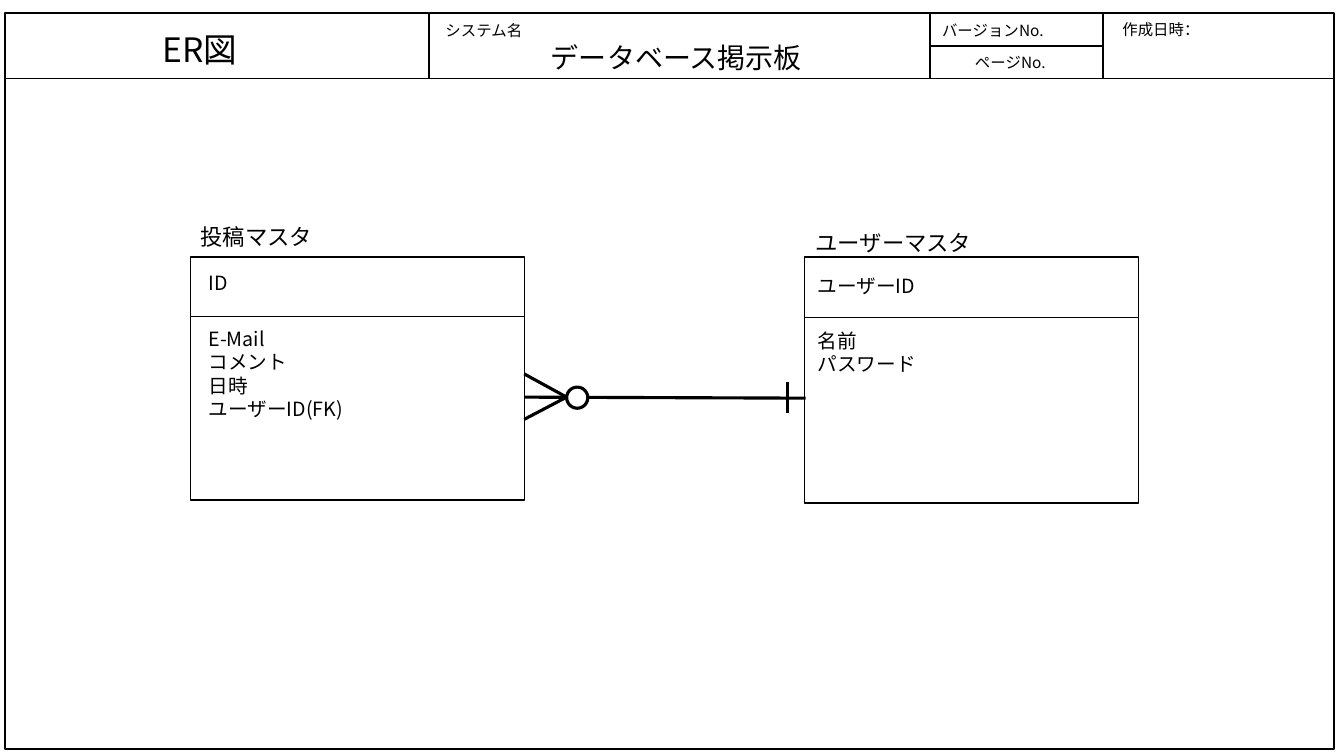
import pptx
import pptx.util
import pptx.dml.color
import pptx.enum.shapes
import pptx.enum.text
import pptx.oxml.ns
import pptx.oxml.xmlchemy
from pptx.util import Inches

FONT = "Noto Sans CJK JP"
COLORS = {"ink": "000000", "paper": "FFFFFF"}
KINDS = pptx.enum.shapes.MSO_SHAPE
ALIGN = pptx.enum.text.PP_ALIGN
ANCHOR = pptx.enum.text.MSO_ANCHOR


class Sheet:
    def __init__(self, deck):
        self.slide = deck.slides.add_slide(deck.slide_layouts[6])
        self.shapes = self.slide.shapes

    def color(self, name):
        return pptx.dml.color.RGBColor.from_string(COLORS[name])

    def stroke(self, line, width):
        line.color.rgb = self.color("ink")
        line.width = pptx.util.Pt(width)

    def shape(self, left, top, width, height, kind=KINDS.RECTANGLE, fill=None, weight=1):
        item = self.shapes.add_shape(
            kind, Inches(left), Inches(top), Inches(width), Inches(height))
        item.shadow.inherit = False
        if fill:
            item.fill.solid()
            item.fill.fore_color.rgb = self.color(fill)
        else:
            item.fill.background()
        self.stroke(item.line, weight)

    def line(self, x1, y1, x2, y2, weight=1):
        item = self.shapes.add_connector(
            pptx.enum.shapes.MSO_CONNECTOR.STRAIGHT,
            Inches(x1), Inches(y1), Inches(x2), Inches(y2))
        self.stroke(item.line, weight)
        item._element.spPr.append(pptx.oxml.xmlchemy.OxmlElement("a:effectLst"))

    def text(self, words, left, top, width, height, size, align=ALIGN.LEFT, anchor=ANCHOR.TOP):
        box = self.shapes.add_textbox(
            Inches(left), Inches(top), Inches(width), Inches(height))
        frame = box.text_frame
        frame.word_wrap = True
        frame.vertical_anchor = anchor
        frame.text = words
        for para in frame.paragraphs:
            para.alignment = align
            for run in para.runs:
                run.font.size = pptx.util.Pt(size)
                run.font.name = FONT
                run.font.color.rgb = self.color("ink")
                asian = pptx.oxml.xmlchemy.OxmlElement("a:ea")
                asian.set("typeface", FONT)
                run.font._element.find(pptx.oxml.ns.qn("a:latin")).addnext(asian)

    def entity(self, left, height, split, title, key, fields):
        top, width = 2.55, 3.31
        self.shape(left, top, width, height, fill="paper")
        self.line(left, split, left + width, split)
        for (words, x, y, size), tall in zip((title, key, fields), (0.47, 0.47, 1.72)):
            self.text(words, x, y, 2.91, tall, size)


deck = pptx.Presentation()
deck.slide_width = Inches(13.33)
deck.slide_height = Inches(7.5)
sheet = Sheet(deck)

sheet.text("データベース掲示板", 4.02, 0.36, 5.38, 0.41, 20, ALIGN.CENTER, ANCHOR.MIDDLE)
for words, left, top, width, height, size, align in (
    ("ER図", 0.54, 0.24, 2.89, 0.49, 24, ALIGN.CENTER),
    ("システム名", 4.18, 0.16, 1.24, 0.33, 11, ALIGN.CENTER),
    ("バージョンNo.", 8.94, 0.16, 1.51, 0.29, 11, ALIGN.RIGHT),
    ("ページNo.", 9.22, 0.48, 1.25, 0.27, 11, ALIGN.RIGHT),
    ("作成日時：", 10.85, 0.15, 1.33, 0.24, 11, ALIGN.CENTER),
):
    sheet.text(words, left, top, width, height, size, align)

head, tall = 0.13, 0.65
sheet.shape(0.05, head + tall, 13.18, 6.65)
for left, right, rows in (
    (0.05, 4.25, 1), (4.26, 9.23, 1), (9.22, 10.94, 2), (10.94, 13.23, 1),
):
    for row in range(rows):
        sheet.shape(left, head + row * tall / rows, right - left, tall / rows)

sheet.entity(
    1.89, 2.41, 3.14,
    ("投稿マスタ", 1.89, 2.16, 16),
    ("ID", 1.97, 2.64, 14),
    ("E-Mail\nコメント\n日時\nユーザーID(FK)", 1.97, 3.19, 14))
sheet.entity(
    7.98, 2.44, 3.15,
    ("ユーザーマスタ", 7.99, 2.22, 16),
    ("ユーザーID", 8.01, 2.67, 14),
    ("名前\nパスワード", 8.01, 3.21, 14))

bold = 2.25
edge, joint, mid = 5.2, 5.62, 3.94
sheet.line(edge, mid, 7.99, 3.95, bold)
for end in (3.71, 4.16):
    sheet.line(edge, end, joint, mid, bold)
sheet.line(7.81, 3.79, 7.81, 4.1, bold)
sheet.shape(joint, 3.84, 0.21, 0.21, KINDS.OVAL, "paper", bold)

deck.save("out.pptx")
